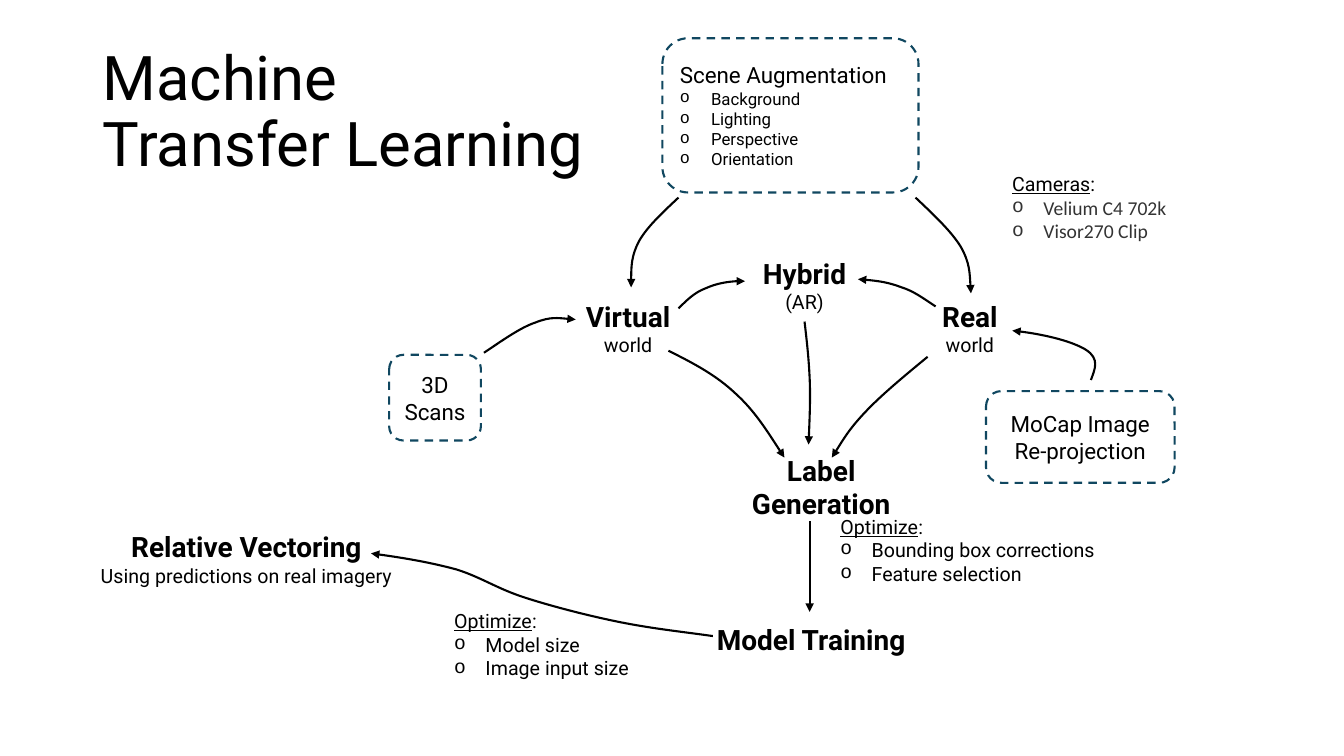
from lxml.etree import SubElement
from pptx import Presentation
from pptx.dml.color import RGBColor
from pptx.enum.dml import MSO_LINE
from pptx.enum.shapes import MSO_CONNECTOR, MSO_SHAPE
from pptx.enum.text import MSO_ANCHOR, PP_ALIGN
from pptx.oxml.ns import qn
from pptx.util import Inches, Pt

BLACK = RGBColor(0x00, 0x00, 0x00)
GRAY = RGBColor(0x33, 0x33, 0x33)
TEAL = RGBColor(0x10, 0x47, 0x60)

SOURCES = [
    ((5.6, 2.73, 1.26, 1.04), "Virtual", "world"),
    ((7.35, 2.31, 1.26, 1.04), "Hybrid", "(AR)"),
    ((8.99, 2.73, 1.26, 1.04), "Real", "world"),
]
STAGES = [
    ((6.99, 4.31, 2.31, 1.04), "Label Generation", None),
    ((6.89, 5.82, 2.31, 1.04), "Model Training", None),
    ((0.81, 5.02, 3.27, 1.04), "Relative Vectoring", "Using predictions on real imagery"),
]
INPUTS = [
    ((3.86, 3.52, 0.91, 0.85), ["3D", "Scans"]),
    ((9.78, 3.88, 1.87, 0.91), ["MoCap Image", "Re-projection"]),
]
OPTIMIZATIONS = [
    ((4.35, 5.81, 3, 1.17), ["Model size", "Image input size"]),
    ((8.19, 4.97, 3, 0.97), ["Bounding box corrections", "Feature selection"]),
]
CURVES = [
    [(10.82, 3.77), (10.86, 3.66), (10.91, 3.56), (10.77, 3.47),
     (10.64, 3.39), (10.34, 3.31), (10.04, 3.28)],
    [(4.8, 3.5), (4.98, 3.38), (5.16, 3.25), (5.31, 3.2),
     (5.46, 3.14), (5.58, 3.16), (5.71, 3.17)],
    [(6.73, 1.96), (6.57, 2.11), (6.42, 2.25), (6.34, 2.39),
     (6.26, 2.54), (6.26, 2.69), (6.26, 2.85)],
    [(9.08, 1.96), (9.26, 2.13), (9.44, 2.3), (9.53, 2.45),
     (9.62, 2.61), (9.62, 2.76), (9.63, 2.91)],
    [(6.73, 3.06), (6.81, 2.98), (6.89, 2.9), (7, 2.86),
     (7.11, 2.81), (7.3, 2.78), (7.39, 2.79)],
    [(9.28, 3.04), (9.17, 2.97), (9.07, 2.89), (8.94, 2.85),
     (8.81, 2.8), (8.66, 2.78), (8.51, 2.77)],
    [(7.98, 3.19), (8, 3.36), (8.02, 3.53), (8.03, 3.73),
     (8.04, 3.93), (8.03, 4.17), (8.02, 4.41)],
    [(6.63, 3.48), (6.87, 3.6), (7.1, 3.72), (7.29, 3.9),
     (7.48, 4.07), (7.63, 4.31), (7.78, 4.54)],
    [(9.2, 3.54), (8.97, 3.73), (8.74, 3.92), (8.58, 4.09),
     (8.42, 4.26), (8.34, 4.4), (8.25, 4.54)],
    [(7.07, 6.31), (6.79, 6.27), (6.5, 6.24), (6.19, 6.18),
     (5.88, 6.12), (5.49, 6.02), (5.21, 5.93), (4.93, 5.84),
     (4.78, 5.73), (4.53, 5.65), (4.27, 5.58), (3.98, 5.53), (3.68, 5.49)],
]


def style_font(font, size, bold=False, name="Roboto", color=BLACK):
    """Set the face, size, weight and colour of a font."""
    font.name, font.size, font.bold = name, Pt(size), bold
    font.color.rgb = color


def add_title(slide, box, text):
    """Add the slide title."""
    text_frame = slide.shapes.add_textbox(*map(Inches, box)).text_frame
    text_frame.word_wrap = True
    text_frame.vertical_anchor = MSO_ANCHOR.MIDDLE
    paragraph = text_frame.paragraphs[0]
    paragraph.text = text
    paragraph.line_spacing = 0.9
    for run in paragraph.runs:
        style_font(run.font, 44)


def add_box(shapes, box, lines, dashed=False, alignment=PP_ALIGN.CENTER):
    """Add a rounded box with one paragraph per line and return its paragraphs."""
    shape = shapes.add_shape(MSO_SHAPE.ROUNDED_RECTANGLE, *map(Inches, box))
    shape.shadow.inherit = False
    shape.fill.background()
    if dashed:
        shape.line.color.rgb = TEAL
        shape.line.width = Pt(1.5)
        shape.line.dash_style = MSO_LINE.DASH
    else:
        shape.line.fill.background()
    text_frame = shape.text_frame
    text_frame.word_wrap = True
    text_frame.vertical_anchor = MSO_ANCHOR.MIDDLE
    text_frame.text = "\n".join(lines)
    for paragraph in text_frame.paragraphs:
        paragraph.alignment = alignment
    return text_frame.paragraphs


def add_node(shapes, box, name, detail):
    """Add a bold step name with an optional smaller line under it."""
    paragraphs = add_box(shapes, box, [name, detail] if detail else [name])
    style_font(paragraphs[0].runs[0].font, 20, bold=True)
    for paragraph in paragraphs[1:]:
        style_font(paragraph.runs[0].font, 14)


def add_input(shapes, box, lines):
    """Add a dashed box with centred text."""
    for paragraph in add_box(shapes, box, lines, dashed=True):
        style_font(paragraph.runs[0].font, 16)


def add_bullet(paragraph):
    """Give a paragraph a hanging round bullet."""
    properties = paragraph._p.get_or_add_pPr()
    properties.set("marL", str(Inches(0.31)))
    properties.set("indent", str(-Inches(0.31)))
    SubElement(properties, qn("a:buFont"), typeface="Courier New")
    SubElement(properties, qn("a:buChar"), char="o")


def add_list(shapes, box, heading, items, sizes, dashed=False, name="Roboto", color=BLACK):
    """Add a heading with bulleted items; a heading outside a dashed box is underlined."""
    paragraphs = add_box(shapes, box, [heading, *items], dashed, PP_ALIGN.LEFT)
    heading_size, item_size = sizes
    if not dashed:
        paragraphs[0].runs[0].font.underline = True
        paragraphs[0].add_run().text = ":"
    for run in paragraphs[0].runs:
        style_font(run.font, heading_size)
    for paragraph in paragraphs[1:]:
        add_bullet(paragraph)
        style_font(paragraph.runs[0].font, item_size, name=name, color=color)


def style_arrow(line):
    """Make a line black with a triangle at its end."""
    line.color.rgb = BLACK
    line.width = Pt(1.5)
    SubElement(line._get_or_add_ln(), qn("a:tailEnd"), type="triangle")


def add_curve(shapes, points):
    """Add a curved arrow through a start point and triples of Bézier points."""
    start, *rest = [(Inches(x), Inches(y)) for x, y in points]
    builder = shapes.build_freeform(*start)
    builder.add_line_segments(rest, close=False)
    shape = builder.convert_to_shape()
    shape.shadow.inherit = False
    shape.fill.background()
    style_arrow(shape.line)
    outline = shape._element.find(".//" + qn("a:path"))
    segments = outline.findall(qn("a:lnTo"))
    for index in range(0, len(segments), 3):
        curve = SubElement(outline, qn("a:cubicBezTo"))
        for segment in segments[index:index + 3]:
            curve.append(segment[0])
            outline.remove(segment)


def add_straight_arrow(shapes, start, end):
    """Add a straight arrow."""
    points = map(Inches, (*start, *end))
    connector = shapes.add_connector(MSO_CONNECTOR.STRAIGHT, *points)
    style_arrow(connector.line)
    SubElement(connector._element.spPr, qn("a:effectLst"))


def main():
    """Build and save the slide."""
    presentation = Presentation()
    presentation.slide_width, presentation.slide_height = Inches(13.33), Inches(7.5)
    slide = presentation.slides.add_slide(presentation.slide_layouts[6])
    shapes = slide.shapes
    add_title(slide, (0.92, 0.4, 11.5, 1.45), "Machine\vTransfer Learning")
    add_list(shapes, (6.57, 0.38, 2.54, 1.53), "Scene Augmentation",
             ["Background", "Lighting", "Perspective", "Orientation"], (16, 12), dashed=True)
    for box, lines in INPUTS:
        add_input(shapes, box, lines)
    source_shapes = shapes.add_group_shape().shapes
    for source in SOURCES:
        add_node(source_shapes, *source)
    for stage in STAGES:
        add_node(shapes, *stage)
    for box, items in OPTIMIZATIONS:
        add_list(shapes, box, "Optimize", items, (14, 14))
    add_list(shapes, (9.87, 1.34, 2.31, 1.44), "Cameras",
             ["Velium C4 702k", "Visor270 Clip"], (14, 14), name="Calibri", color=GRAY)
    for points in CURVES:
        add_curve(shapes, points)
    add_straight_arrow(shapes, (8.03, 5.17), (8.03, 6.07))
    presentation.save("out.pptx")


if __name__ == "__main__":
    main()
